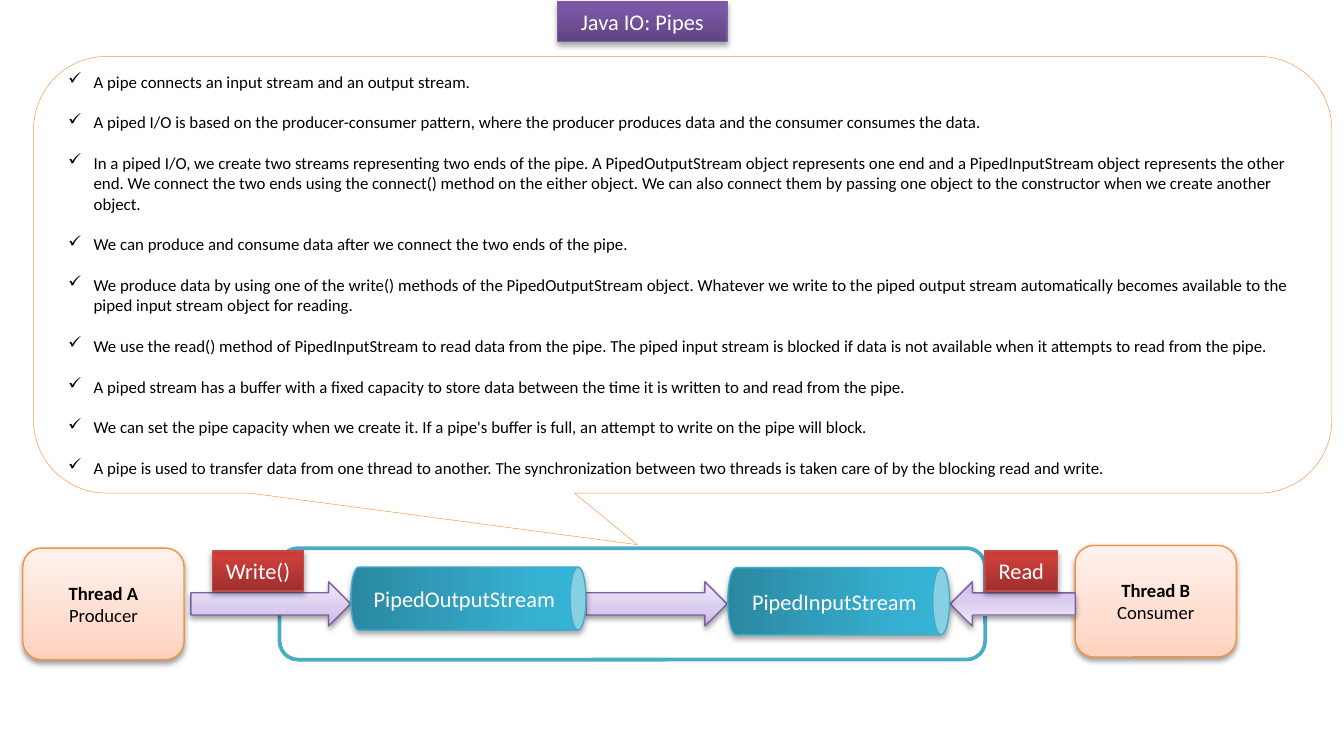
from lxml import etree
from pptx import Presentation
from pptx.dml.color import RGBColor
from pptx.enum.shapes import MSO_SHAPE
from pptx.enum.text import MSO_ANCHOR, PP_ALIGN
from pptx.oxml.ns import qn
from pptx.util import Inches, Pt

RECT = MSO_SHAPE.RECTANGLE
ROUND = MSO_SHAPE.ROUNDED_RECTANGLE
CALLOUT = MSO_SHAPE.ROUNDED_RECTANGULAR_CALLOUT
ARROW = MSO_SHAPE.RIGHT_ARROW
CAN = MSO_SHAPE.CAN
MIDDLE = MSO_ANCHOR.MIDDLE
LEFT, CENTER = PP_ALIGN.LEFT, PP_ALIGN.CENTER

FONT = "Calibri"
WIDTH, HEIGHT = Inches(10), Inches(5.5)
COLS, ROWS = 100, 55
BLACK, WHITE = "000000", "FFFFFF"

PURPLE = ((0, "5F4480"), (80, "7B58A6"), (100, "7C57A8"))
RED = ((0, "9C2F2D"), (80, "CB3E3A"), (100, "CE3B37"))
TEAL = ((0, "2A88A2"), (80, "37B1D2"), (100, "34B4D6"))
PEACH = ((0, "FFD2BD"), (35, "FFDED0"), (100, "FFF2ED"))
LILAC = ((0, "C9B5E8"), (35, "D8CBEE"), (100, "F0EAF9"))
STRONG, SOFT = (35, 1.8), (38, 1.6)

POINTS = [
    "A pipe connects an input stream and an output stream.",
    "A piped I/O is based on the producer-consumer pattern, where the producer produces data and the consumer consumes the data.",
    "In a piped I/O, we create two streams representing two ends of the pipe. A PipedOutputStream object represents one end and a PipedInputStream object represents the other end. We connect the two ends using the connect() method on the either object. We can also connect them by passing one object to the constructor when we create another object.",
    "We can produce and consume data after we connect the two ends of the pipe.",
    "We produce data by using one of the write() methods of the PipedOutputStream object. Whatever we write to the piped output stream automatically becomes available to the piped input stream object for reading.",
    "We use the read() method of PipedInputStream to read data from the pipe. The piped input stream is blocked if data is not available when it attempts to read from the pipe.",
    "A piped stream has a buffer with a fixed capacity to store data between the time it is written to and read from the pipe.",
    "We can set the pipe capacity when we create it. If a pipe's buffer is full, an attempt to write on the pipe will block.",
    "A pipe is used to transfer data from one thread to another. The synchronization between two threads is taken care of by the blocking read and write.",
]


def rgb(value):
    return RGBColor.from_string(value)


def add_child(parent, tag, **attrs):
    child = etree.SubElement(parent, qn(tag))
    for name, value in attrs.items():
        child.set(name, str(value))
    return child


def set_gradient(sp, stops):
    sp.fill.gradient()
    sp.fill.gradient_angle = 90
    stop_list = sp._element.spPr.find(".//" + qn("a:gsLst"))
    for old in list(stop_list):
        stop_list.remove(old)
    for share, color in stops:
        stop = add_child(stop_list, "a:gs", pos=share * 1000)
        add_child(stop, "a:srgbClr", val=color)


def set_shadow(sp, opacity, distance):
    effects = sp._element.spPr.find(qn("a:effectLst"))
    shadow = add_child(effects, "a:outerShdw", blurRad=Pt(3.1), dist=Pt(distance),
                       dir=5400000, rotWithShape=0)
    color = add_child(shadow, "a:srgbClr", val=BLACK)
    add_child(color, "a:alpha", val=opacity * 1000)


def add_box(s, kind, at, fill, line, weight=0.75, shadow=None, rotation=0):
    x, y, w, h = at
    sp = s.shapes.add_shape(kind, int(WIDTH * x / COLS), int(HEIGHT * y / ROWS),
                            int(WIDTH * w / COLS), int(HEIGHT * h / ROWS))
    sp.shadow.inherit = False
    if isinstance(fill, str):
        sp.fill.solid()
        sp.fill.fore_color.rgb = rgb(fill)
    else:
        set_gradient(sp, fill)
    sp.line.color.rgb = rgb(line)
    sp.line.width = Pt(weight)
    if shadow:
        set_shadow(sp, *shadow)
    sp.rotation = rotation
    return sp


def set_text(sp, lines, size, color, align=CENTER, wrap=True):
    tf = sp.text_frame
    tf.word_wrap = wrap
    tf.vertical_anchor = MIDDLE
    tf.text = "\n".join(lines)
    for p in tf.paragraphs:
        p.alignment = align
        for r in p.runs:
            r.font.name = FONT
            r.font.size = Pt(size)
            r.font.color.rgb = rgb(color)
    return tf


def add_label(s, at, text, fill, line):
    sp = add_box(s, RECT, at, fill, line, shadow=STRONG)
    set_text(sp, [text], 12, WHITE, wrap=False)


def add_callout(s, at, points):
    sp = add_box(s, CALLOUT, at, WHITE, "F79646", 0.25)
    for i, value in enumerate((-0.035, 0.618, 0.167)):
        sp.adjustments[i] = value
    tf = set_text(sp, points, 9, BLACK, LEFT)
    for i, p in enumerate(tf.paragraphs):
        if i:
            p.space_before = Pt(11)
        pPr = p._p.get_or_add_pPr()
        pPr.set("marL", str(Inches(0.19)))
        pPr.set("indent", str(-Inches(0.19)))
        add_child(pPr, "a:buChar", char="✓")


def add_thread(s, x, y, name, role):
    sp = add_box(s, ROUND, (x, y, 12, 8.3), PEACH, "F69240", shadow=SOFT)
    tf = set_text(sp, [name, role], 10, BLACK)
    tf.paragraphs[0].runs[0].font.bold = True


def add_arrow(s, x, w, rotation=0):
    add_box(s, ARROW, (x, 43.3, w, 3.3), LILAC, "7D60A0", shadow=SOFT, rotation=rotation)


def add_stream(s, at, name):
    sp = add_box(s, CAN, at, TEAL, "46AAC5", shadow=STRONG, rotation=90)
    tf = set_text(sp, [name], 12, WHITE)
    tf._txBody.bodyPr.set("vert", "vert270")


def main():
    prs = Presentation()
    prs.slide_width, prs.slide_height = WIDTH, HEIGHT
    s = prs.slides.add_slide(prs.slide_layouts[6])

    add_label(s, (41.5, 0.1, 12.6, 3), "Java IO: Pipes", PURPLE, "7D60A0")
    add_callout(s, (2.5, 4.2, 96.6, 32.5), POINTS)
    add_box(s, ROUND, (20.8, 40.8, 52.5, 8.3), WHITE, "4BACC6", 2)
    add_thread(s, 1.7, 40.8, "Thread A", "Producer")
    add_thread(s, 80, 40.6, "Thread B", "Consumer")
    add_arrow(s, 14.2, 11.9)
    add_arrow(s, 43.6, 10.5)
    add_arrow(s, 70.7, 9.3, 180)
    add_label(s, (15.8, 41, 6.8, 3), "Write()", RED, "BF4C48")
    add_label(s, (73.3, 41, 5.4, 3), "Read", RED, "BF4C48")
    add_stream(s, (32.5, 35.8, 4.7, 17.5), "PipedOutputStream")
    add_stream(s, (59.9, 36.5, 5, 16.5), "PipedInputStream")

    prs.save("out.pptx")


if __name__ == "__main__":
    main()
